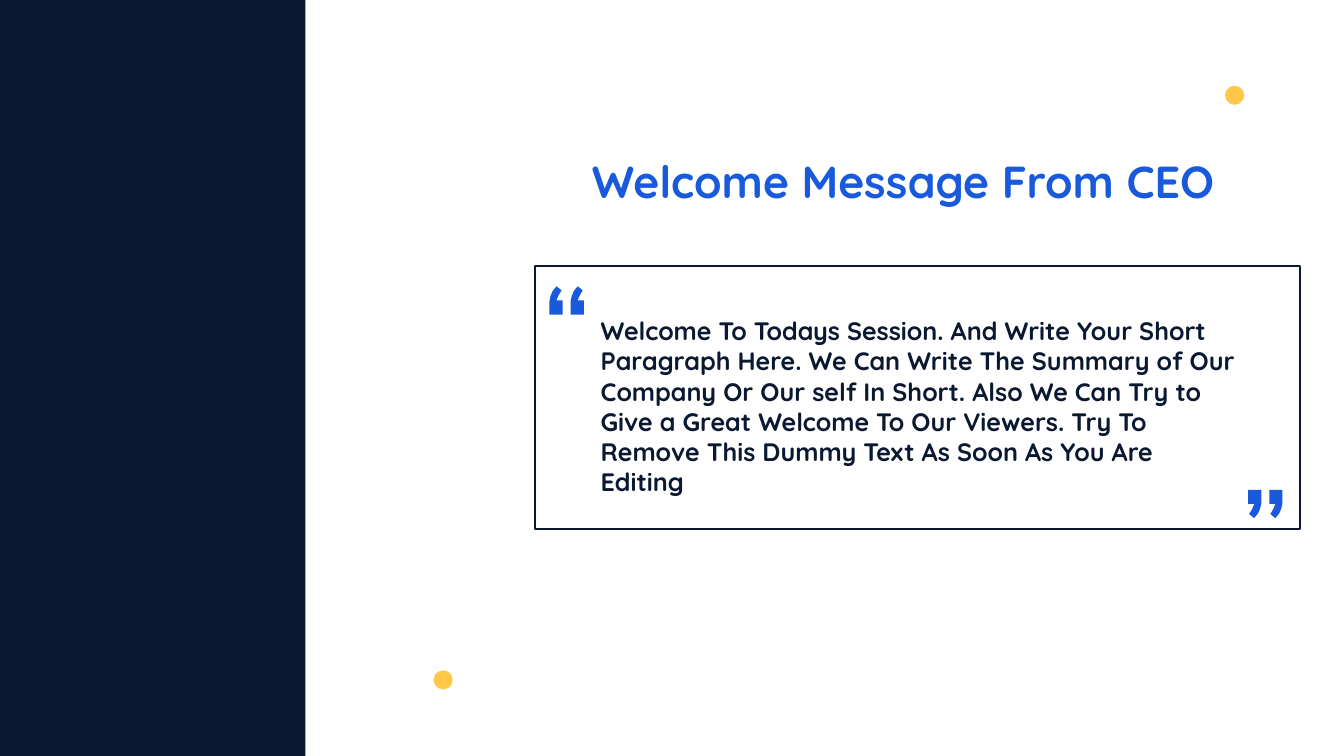
from pptx import Presentation
from pptx.dml.color import RGBColor
from pptx.enum import shapes as sh, text as tx
from pptx.util import Inches, Pt

NAVY = RGBColor(0x0A, 0x19, 0x31)
BLUE = RGBColor(0x18, 0x5A, 0xDB)
GOLD = RGBColor(0xFF, 0xC9, 0x47)
FONT = "Quicksand"

TITLE = "Welcome Message From CEO"
LINES = [
    "Welcome To Todays Session. And Write Your Short",
    "Paragraph Here. We Can Write The Summary of Our",
    "Company Or Our self In Short. Also We Can Try to",
    "Give a Great Welcome To Our Viewers. Try To",
    "Remove This Dummy Text As Soon As You Are",
    "Editing",
]
PANEL = (0, 0, 3.03, 7.5)
FRAME = (5.31, 2.64, 7.58, 2.61)
DOTS = [(4.3, 6.65), (12.15, 0.85)]
DOT = 0.19
QUOTES = [(5.58, 3.12, -1), (12.38, 4.86, 1)]
MARK = [(0, 0), (13, 0), (13, 7), (13, 13), (12, 18), (10, 23),
        (6, 28), (1, 24), (4, 19), (6, 14), (0, 14)]
GAP = 21


def paint(shape, fill=None, line=None):
    shape.shadow.inherit = False
    if fill is None:
        shape.fill.background()
    else:
        shape.fill.solid()
        shape.fill.fore_color.rgb = fill
    if line is None:
        shape.line.fill.background()
    else:
        shape.line.color.rgb = line
        shape.line.width = Pt(1.5)


def preset(kind, box, **look):
    paint(slide.shapes.add_shape(kind, *map(Inches, box)), **look)


def quote(left, top, way):
    x, y = round(left * 100), round(top * 100)
    shift = GAP if way > 0 else 0
    pen = None
    for start in (x, x + GAP):
        pts = [(start + way * a, y + way * b) for a, b in MARK]
        if pen is None:
            pen = slide.shapes.build_freeform(*pts[0], scale=Inches(0.01))
        else:
            pen.move_to(*pts[0])
        pen.add_line_segments(pts[1:], close=True)
    paint(pen.convert_to_shape(), fill=BLUE)


def write(shape, lines, size, color):
    frame = shape.text_frame
    frame.word_wrap = True
    frame.auto_size = tx.MSO_AUTO_SIZE.NONE
    frame.vertical_anchor = tx.MSO_ANCHOR.TOP
    look = {"name": FONT, "size": Pt(size), "bold": True}
    for i, line in enumerate(lines):
        para = frame.paragraphs[0] if i == 0 else frame.add_paragraph()
        para.alignment = tx.PP_ALIGN.LEFT
        run = para.add_run()
        run.text = line
        for key, value in look.items():
            setattr(run.font, key, value)
        run.font.color.rgb = color


deck = Presentation()
deck.slide_width, deck.slide_height = Inches(13.33), Inches(7.5)
slide = deck.slides.add_slide(deck.slide_layouts[5])

preset(sh.MSO_SHAPE.RECTANGLE, PANEL, fill=NAVY)
preset(sh.MSO_SHAPE.RECTANGLE, FRAME, line=NAVY)
for spot in QUOTES:
    quote(*spot)
for x, y in DOTS:
    preset(sh.MSO_SHAPE.OVAL, (x, y, DOT, DOT), fill=GOLD)

title = slide.shapes.title
place = {"left": 5.77, "top": 1.47, "width": 6.66, "height": 0.64}
for key, value in place.items():
    setattr(title, key, Inches(value))
write(title, [TITLE], 32, BLUE)

body = slide.shapes.add_textbox(*map(Inches, (5.86, 3.08, 6.96, 1.92)))
write(body, LINES, 18, NAVY)

deck.save("out.pptx")
